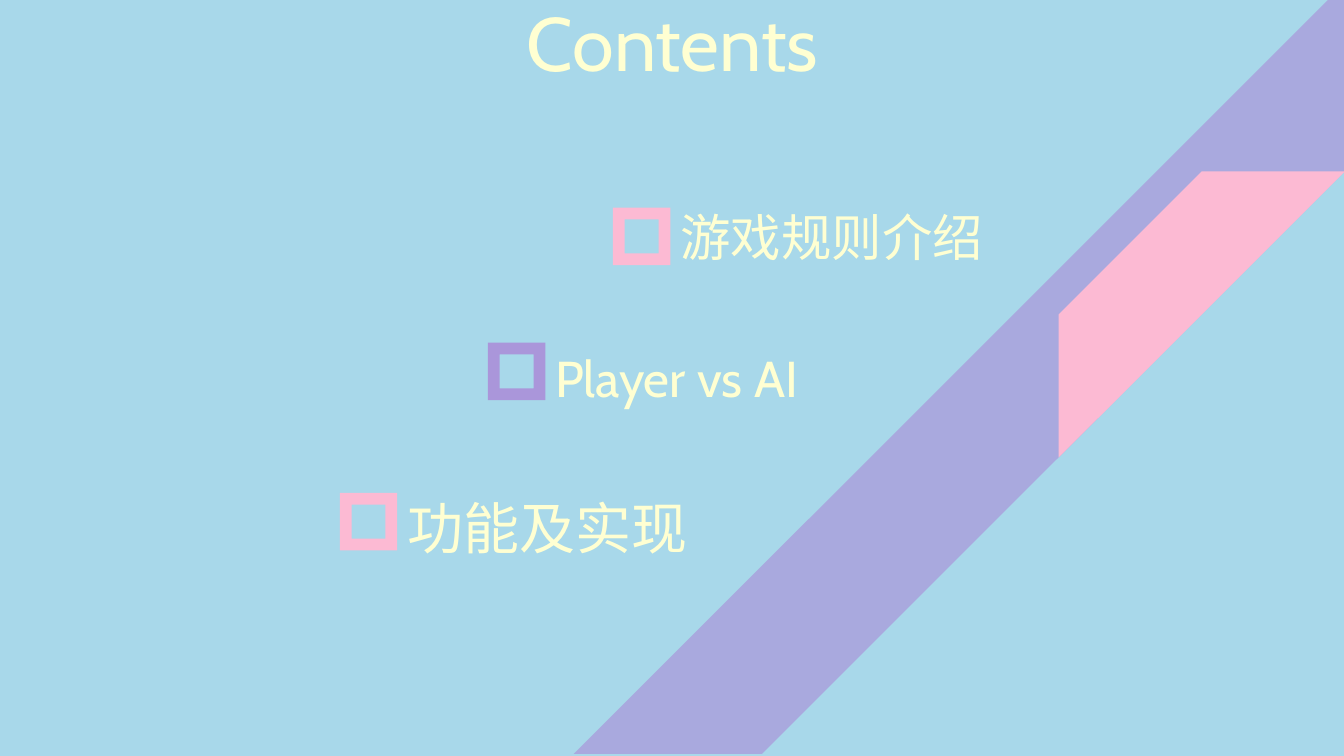
import dataclasses

import pptx
import pptx.dml.color
import pptx.enum.shapes
import pptx.enum.text
import pptx.oxml
import pptx.oxml.ns
import pptx.util

Inches = pptx.util.Inches
Kind = pptx.enum.shapes.MSO_SHAPE
Align = pptx.enum.text.PP_ALIGN


@dataclasses.dataclass(frozen=True)
class Theme:
    """Colours, font and type sizes of the deck."""

    sky: str = "A8D8EA"
    cream: str = "FFFFD2"
    violet: str = "AA96DA"
    pink: str = "FCBAD3"
    font: str = "Cabin"
    title: int = 54
    item: int = 36
    large: int = 40


class Deck:
    """Draws themed elements on the current slide."""

    def __init__(self, theme):
        self.theme = theme
        self.show = pptx.Presentation()
        self.show.slide_width = Inches(13.33)
        self.show.slide_height = Inches(7.5)
        self.slide = None

    def page(self):
        self.slide = self.show.slides.add_slide(self.show.slide_layouts[6])
        self.paint(self.slide.background.fill, self.theme.sky)

    def paint(self, fill, color):
        fill.solid()
        fill.fore_color.rgb = pptx.dml.color.RGBColor.from_string(color)

    def shape(self, kind, left, top, side, color, adjust, turn=0, alpha=100):
        item = self.slide.shapes.add_shape(
            kind, Inches(left), Inches(top), Inches(side), Inches(side))
        item.adjustments[0] = adjust
        item.rotation = turn
        item.shadow.inherit = False
        item.line.fill.background()
        self.paint(item.fill, color)
        if alpha < 100:
            tone = item.fill._xPr.find(".//" + pptx.oxml.ns.qn("a:srgbClr"))
            tag = pptx.oxml.parse_xml(
                f'<a:alpha {pptx.oxml.ns.nsdecls("a")} val="{alpha * 1000}"/>')
            tone.append(tag)

    def text(self, words, left, top, width, height, size, align=Align.LEFT):
        box = self.slide.shapes.add_textbox(
            Inches(left), Inches(top), Inches(width), Inches(height))
        frame = box.text_frame
        frame.word_wrap = True
        frame.auto_size = pptx.enum.text.MSO_AUTO_SIZE.SHAPE_TO_FIT_TEXT
        line = frame.paragraphs[0]
        line.alignment = align
        run = line.add_run()
        run.text = words
        style = {"name": self.theme.font, "size": pptx.util.Pt(size)}
        for key, value in style.items():
            setattr(run.font, key, value)
        self.paint(run.font.fill, self.theme.cream)


def main():
    theme = Theme()
    deck = Deck(theme)
    deck.page()
    deck.text("Contents", 3.68, -0.09, 5.98, 1.01, theme.title, Align.CENTER)
    deck.shape(Kind.DIAGONAL_STRIPE, 5.69, -0.17, 7.65, theme.violet, 0.756,
               turn=180, alpha=70)
    deck.shape(Kind.DIAGONAL_STRIPE, 10.5, 1.7, 2.84, theme.pink, 0.5)

    side = 0.57
    items = [
        ("游戏规则介绍", 6.08, 2.06, theme.pink, 2, 4.21, 0.71, theme.item),
        ("Player vs AI", 4.84, 3.4, theme.violet, 3.39, 3.58, 0.71, theme.item),
        ("功能及实现", 3.37, 4.89, theme.pink, 4.85, 3.85, 0.77, theme.large),
    ]
    for words, left, top, color, head, width, height, size in items:
        deck.shape(Kind.FRAME, left, top, side, color, 0.205)
        deck.text(words, left + side, head, width, height, size)
    deck.show.save("out.pptx")


if __name__ == "__main__":
    main()
